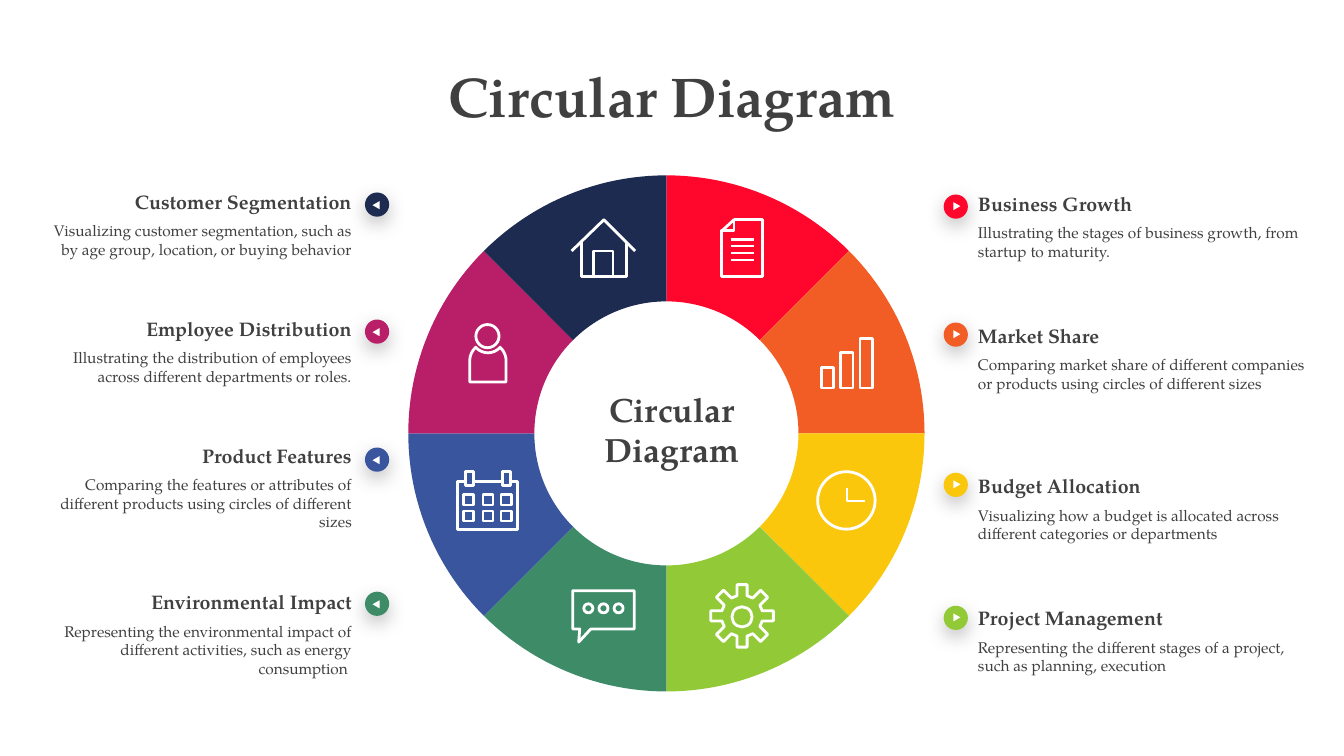
from math import cos, radians, sin

from lxml import etree
from pptx import Presentation
from pptx import util as u
from pptx.dml.color import RGBColor
from pptx.enum import shapes, text
from pptx.oxml.ns import qn

PX = 9144  # EMU per px, 100 px to the inch
FONT = "TeX Gyre Pagella"
INK = RGBColor(0x40, 0x40, 0x40)
WHITE = RGBColor(0xFF, 0xFF, 0xFF)
RED = RGBColor(0xFF, 0x06, 0x2C)
ORANGE = RGBColor(0xF1, 0x5D, 0x24)
YELLOW = RGBColor(0xFB, 0xC7, 0x0C)
LIME = RGBColor(0x92, 0xCA, 0x37)
GREEN = RGBColor(0x3D, 0x8B, 0x67)
BLUE = RGBColor(0x39, 0x55, 0x9E)
MAGENTA = RGBColor(0xB9, 0x1E, 0x69)
NAVY = RGBColor(0x1C, 0x2B, 0x4F)

TITLE = "Circular Diagram"
# heading, description, colour, text top, width, height, marker top
RIGHT = [
    ("Business Growth", "Illustrating the stages of business growth, from startup to maturity.",
     RED, 190, 327, 69, 193),
    ("Market Share", "Comparing market share of different companies or products using circles "
     "of different sizes", ORANGE, 321, 327, 88, 320),
    ("Budget Allocation", "Visualizing how a budget is allocated across different categories "
     "or departments", YELLOW, 470, 327, 69, 469),
    ("Project Management", "Representing the different stages of a project, such as planning, "
     "execution", LIME, 601, 313, 69, 601),
]
LEFT = [
    ("Customer Segmentation", "Visualizing customer segmentation, such as by age group, location, "
     "or buying behavior", NAVY, 188, 313, 69, 191),
    ("Employee Distribution", "Illustrating the distribution of employees across different "
     "departments or roles.", MAGENTA, 314, 313, 69, 317),
    ("Product Features", "Comparing the features or attributes of different products using "
     "circles of different sizes", BLUE, 440, 313, 88, 444),
    ("Environmental Impact", "Representing the environmental impact of different activities, "
     "such as energy consumption ", GREEN, 585, 313, 88, 587),
]
# text left, marker left, arrow offset, arrow rotation, alignment
RIGHT_SIDE = (970, 936, (9, 8), 90, text.PP_ALIGN.LEFT)
LEFT_SIDE = (36, 362, (7, 9), 270, text.PP_ALIGN.RIGHT)
RING_X, RING_Y, RING_OUTER, RING_INNER = 661, 430, 256, 131


def arc(cx, cy, radius, start, end, steps=24):
    """Points on a circle; angles in degrees, clockwise from the right."""
    angles = [radians(start + (end - start) * i / steps) for i in range(steps + 1)]
    return [(cx + radius * cos(a), cy + radius * sin(a)) for a in angles]


def gear(cx, cy):
    tooth = [(20, -5), (31, -5), (31, 5), (20, 5)]
    turns = [radians(45 * i) for i in range(8)]
    return [(cx + x * cos(a) - y * sin(a), cy + x * sin(a) + y * cos(a))
            for a in turns for x, y in tooth]


PERSON = (arc(484, 334, 16, 40, 140) + arc(484, 358, 18, -132, -180)
          + [(466, 379), (502, 379)] + arc(484, 358, 18, 0, -48))
# each part: kind, then left, top, width, height or a list of points
ICONS = [
    [("open", [(621, 240), (621, 274), (577, 274), (577, 240)]),
     ("open", [(567, 249), (599, 218), (630, 249)]),
     ("rect", (589, 249, 19, 25))],
    [("closed", [(728, 218), (728, 229), (716, 229), (716, 274), (756, 274), (756, 218)]),
     ("line", [(728, 218), (716, 229)])]
    + [("line", [(725, y), (748, y)]) for y in (238, 244, 251, 258)],
    [("closed", gear(736, 611)), ("oval", (726, 602, 20, 20))],
    [("open", [(506, 478), (513, 478), (513, 525), (454, 525), (454, 478), (462, 478)]),
     ("line", [(469, 478), (498, 478)])]
    + [("rect", (x, 468, 8, 14)) for x in (462, 498)]
    + [("rect", (x, y, 10, 10)) for y in (491, 507) for x in (460, 479, 497)],
    [("closed", [(629, 624), (586, 624), (574, 637), (575, 624), (568, 624), (568, 586),
                 (629, 586)])]
    + [("oval", (x, 599, 9, 9)) for x in (579, 594, 609)],
    [("rect", (x, y, 12, 385 - y)) for x, y in ((815, 365), (834, 350), (853, 336))],
    [("oval", (811, 468, 57, 57)), ("open", [(840, 484), (840, 497), (858, 497)])],
    [("oval", (472, 322, 23, 23)), ("closed", PERSON)],
]
PRESETS = {"rect": shapes.MSO_SHAPE.RECTANGLE, "oval": shapes.MSO_SHAPE.OVAL,
           "triangle": shapes.MSO_SHAPE.ISOSCELES_TRIANGLE}


def emu(values):
    return [u.Emu(round(v * PX)) for v in values]


def paint(sp, fill=None, line=None):
    sp.shadow.inherit = False
    for part, color in ((sp.fill, fill), (sp.line.fill, line)):
        if color is None:
            part.background()
        else:
            part.solid()
            part.fore_color.rgb = color
    if line is not None:
        sp.line.width = u.Pt(2)


def add_outline(parent, points, closed=True, **colors):
    start, *rest = [emu(p) for p in points]
    builder = parent.build_freeform(*start)
    builder.add_line_segments(rest, close=closed)
    paint(builder.convert_to_shape(), **colors)


def add_preset(parent, kind, box, **colors):
    sp = parent.add_shape(PRESETS[kind], *emu(box))
    paint(sp, **colors)
    return sp


def add_line(parent, points):
    start, end = points
    line = parent.add_connector(shapes.MSO_CONNECTOR.STRAIGHT, *emu(start), *emu(end))
    line.line.color.rgb = WHITE
    line.line.width = u.Pt(2)
    etree.SubElement(line._element.spPr, qn("a:effectLst"))


def add_icon(s, parts):
    group = s.shapes.add_group_shape().shapes
    for kind, geometry in parts:
        if kind == "line":
            add_line(group, geometry)
        elif kind in PRESETS:
            add_preset(group, kind, geometry, line=WHITE)
        else:
            add_outline(group, geometry, kind == "closed", line=WHITE)


def set_text(sp, box, lines, align, inset=None, before=0):
    """Place a text shape; lines holds (wording, size, bold) per paragraph."""
    sp.left, sp.top, sp.width, sp.height = emu(box)
    tf = sp.text_frame
    tf.word_wrap = True
    tf.auto_size = text.MSO_AUTO_SIZE.SHAPE_TO_FIT_TEXT
    tf.vertical_anchor = text.MSO_ANCHOR.TOP
    if inset is not None:
        tf.margin_left = tf.margin_top = tf.margin_right = tf.margin_bottom = inset
    for i, (wording, size, bold) in enumerate(lines):
        p = tf.add_paragraph() if i else tf.paragraphs[0]
        p.alignment, p.space_before = align, u.Pt(before)
        r = p.add_run()
        r.text = wording
        r.font.name, r.font.size, r.font.bold = FONT, u.Pt(size), bold
        r.font.color.rgb = INK


def add_soft_shadow(sp):
    effects = sp._element.spPr.find(qn("a:effectLst"))
    shadow = etree.SubElement(effects, qn("a:outerShdw"), blurRad=str(u.Pt(14)),
                              dist=str(u.Pt(5)), dir="5400000", algn="t", rotWithShape="0")
    color = etree.SubElement(shadow, qn("a:srgbClr"), val="000000")
    etree.SubElement(color, qn("a:alpha"), val="25000")


def add_item(s, item, side):
    heading, description, color, top, width, height, marker_top = item
    left, marker_left, (dx, dy), rotation, align = side
    set_text(s.shapes.add_textbox(0, 0, 0, 0), (left, top, width, height),
             [(heading, 14, True), (description, 11, False)], align, inset=0, before=6)
    group = s.shapes.add_group_shape().shapes
    add_soft_shadow(add_preset(group, "oval", (marker_left, marker_top, 24, 24), fill=color))
    arrow = add_preset(group, "triangle", (marker_left + dx, marker_top + dy, 8, 7), fill=WHITE)
    arrow.rotation = rotation


def main():
    prs = Presentation()
    prs.slide_width, prs.slide_height = emu((1333, 750))
    s = prs.slides.add_slide(prs.slide_layouts[5])
    set_text(s.shapes.title, (0, 56, 1333, 77), [(TITLE, 40, True)], text.PP_ALIGN.CENTER)

    for i, item in enumerate(RIGHT + LEFT[::-1]):
        start = 45 * i - 90
        add_outline(s.shapes, arc(RING_X, RING_Y, RING_OUTER, start, start + 45)
                    + arc(RING_X, RING_Y, RING_INNER, start + 45, start), fill=item[2])
    for parts in ICONS:
        add_icon(s, parts)
    for items, side in ((RIGHT, RIGHT_SIDE), (LEFT, LEFT_SIDE)):
        for item in items:
            add_item(s, item, side)
    set_text(s.shapes.add_textbox(0, 0, 0, 0), (546, 381, 241, 91), [(TITLE, 24, True)],
             text.PP_ALIGN.CENTER)
    prs.save("out.pptx")


if __name__ == "__main__":
    main()
